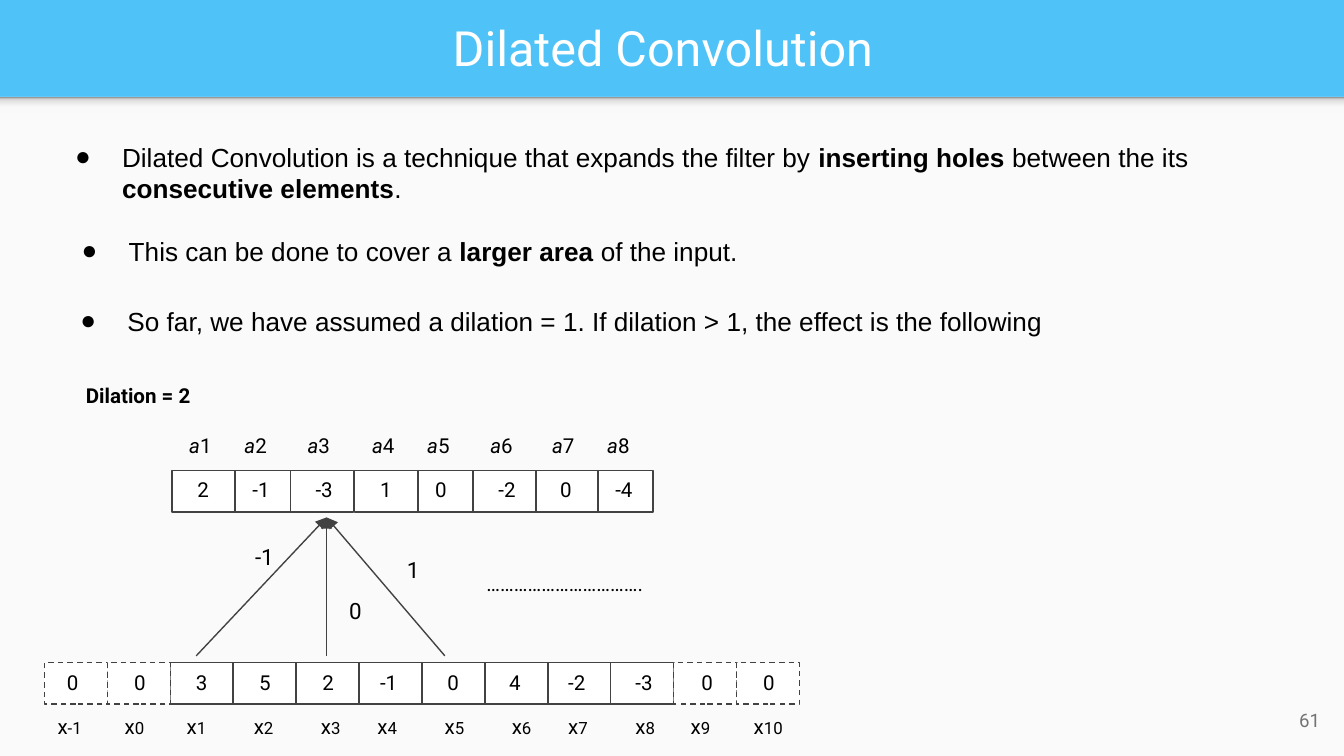
"""Build the slide that explains dilated convolution."""
from copy import deepcopy

from lxml import etree
from pptx import Presentation
from pptx.dml.color import RGBColor
from pptx.enum.dml import MSO_LINE
from pptx.enum.shapes import MSO_CONNECTOR, MSO_SHAPE
from pptx.enum.text import MSO_ANCHOR, PP_ALIGN
from pptx.oxml.ns import qn
from pptx.util import Inches, Pt

RECTANGLE = MSO_SHAPE.RECTANGLE
STRAIGHT = MSO_CONNECTOR.STRAIGHT
DASH = MSO_LINE.DASH
TOP, MIDDLE = MSO_ANCHOR.TOP, MSO_ANCHOR.MIDDLE
LEFT, CENTER, RIGHT = PP_ALIGN.LEFT, PP_ALIGN.CENTER, PP_ALIGN.RIGHT

BLUE = RGBColor(0x4F, 0xC3, 0xF7)
PAPER = RGBColor(0xFA, 0xFA, 0xFA)
WHITE = RGBColor(0xFF, 0xFF, 0xFF)
BLACK = RGBColor(0x00, 0x00, 0x00)
INK = RGBColor(0x42, 0x42, 0x42)
GRAY = RGBColor(0x73, 0x73, 0x73)
SHADOW_STOPS = [
    (0, RGBColor(0xF9, 0xF9, 0xF9)),
    (0.36, RGBColor(0xF9, 0xF9, 0xF9)),
    (0.8, RGBColor(0xDE, 0xDE, 0xDE)),
    (1, RGBColor(0x99, 0x99, 0x99)),
]

BOLD = {"bold": True}
BULLETS = [
    ((0.31, 0.95, 9.35, 0.67), [
        ("Dilated Convolution is a technique that expands the filter by ", {}),
        ("inserting holes", BOLD),
        (" between the its ", {}),
        ("consecutive elements", BOLD),
        (".", {}),
    ]),
    ((0.36, 1.65, 8.67, 0.44), [
        ("This can be done to cover a ", {}),
        ("larger area ", BOLD),
        ("of the input.", {}),
    ]),
    ((0.35, 2.17, 9.29, 0.44), [
        ("So far, we have assumed a dilation = 1. If dilation > 1, the effect is the following", {}),
    ]),
]

CELL_WIDTH, CELL_HEIGHT = 0.47, 0.31
INPUT_LEFT, INPUT_RIGHT, INPUT_TOP = 0.33, 5.95, 4.93
OUTPUT_TOP = 3.5
FIRST_INDEX = -1
INPUT_CELLS = [
    ("0", 0.4, 0.33), ("0", 0.9, 0.83), ("3", 1.36, 1.29), ("5", 1.83, 1.79),
    ("2", 2.3, 2.29), ("-1", 2.73, 2.71), ("0", 3.23, 3.21), ("4", 3.69, 3.71),
    ("-2", 4.13, 4.13), ("-3", 4.63, 4.63), ("0", 5.12, 5.04), ("0", 5.58, 5.51),
]
OUTPUT_CELLS = [
    ("2", 1.28), ("-1", 1.69), ("-3", 2.16), ("1", 2.64),
    ("0", 3.05), ("-2", 3.52), ("0", 3.98), ("-4", 4.39),
]
ARROW_STARTS = [1.46, 2.43, 3.31]
ARROW_TARGET = (2.43, 3.85)
WEIGHTS = [("-1", 1.8, 3.94), ("0", 2.5, 4.34), ("1", 2.93, 4.04)]


def add_bullet(paragraph, font):
    """Give the paragraph a round bullet with a hanging indent."""
    properties = paragraph._p.get_or_add_pPr()
    properties.set("marL", str(Inches(0.5)))
    properties.set("indent", str(Inches(-0.35)))
    color = etree.SubElement(properties, qn("a:buClr"))
    etree.SubElement(color, qn("a:srgbClr")).set("val", str(BLACK))
    etree.SubElement(properties, qn("a:buFont")).set("typeface", font)
    etree.SubElement(properties, qn("a:buChar")).set("char", "●")


def add_text(slide, box, text, size=11, font="Roboto", color=BLACK, bold=False,
             align=LEFT, anchor=TOP, bullet=False):
    """Add a text box from a string or a list of (text, overrides) runs."""
    shape = slide.shapes.add_textbox(*map(Inches, box))
    frame = shape.text_frame
    frame.word_wrap = True
    frame.vertical_anchor = anchor
    frame.margin_left = frame.margin_right = Inches(0.1)
    frame.margin_top = frame.margin_bottom = Inches(0.1)
    paragraph = frame.paragraphs[0]
    paragraph.alignment = align
    if bullet:
        add_bullet(paragraph, font)
    runs = [(text, {})] if isinstance(text, str) else text
    for content, overrides in runs:
        run = paragraph.add_run()
        run.text = content
        run.font.name = font
        run.font.size = Pt(overrides.get("size", size))
        run.font.bold = overrides.get("bold", bold)
        run.font.italic = overrides.get("italic", False)
        run.font.color.rgb = color


def add_rectangle(slide, box, fill=None):
    """Add a rectangle without outline or shadow."""
    shape = slide.shapes.add_shape(RECTANGLE, *map(Inches, box))
    shape.shadow.inherit = False
    shape.line.fill.background()
    if fill is not None:
        shape.fill.solid()
        shape.fill.fore_color.rgb = fill
    return shape


def add_header_shadow(slide):
    """Add the gradient strip below the header."""
    shape = add_rectangle(slide, (0, 0.72, 10, 0.12))
    shape.fill.gradient()
    shape.fill.gradient_angle = 90
    stop_list = shape._element.spPr.find(".//" + qn("a:gsLst"))
    for stop in list(stop_list):
        stop_list.append(deepcopy(stop))
    for stop, (position, color) in zip(shape.fill.gradient_stops, SHADOW_STOPS):
        stop.position = position
        stop.color.rgb = color


def add_cell(slide, left, top, dashed=False):
    """Add one outlined cell of a sequence."""
    shape = add_rectangle(slide, (left, top, CELL_WIDTH, CELL_HEIGHT), WHITE)
    shape.line.color.rgb = INK
    shape.line.width = Pt(0.75)
    if dashed:
        shape.line.dash_style = DASH


def add_arrow(slide, start, end):
    """Add a thin line with a triangular head at its end."""
    connector = slide.shapes.add_connector(STRAIGHT, *map(Inches, start + end))
    connector.line.color.rgb = INK
    connector.line.width = Pt(0.75)
    etree.SubElement(connector.line._get_or_add_ln(), qn("a:tailEnd")).set("type", "triangle")
    etree.SubElement(connector._element.spPr, qn("a:effectLst"))


def add_input_row(slide):
    """Add the input sequence, with its dashed padding cells on top."""
    pitch = (INPUT_RIGHT - INPUT_LEFT) / len(INPUT_CELLS)
    padding = {0, 1, 10, 11}
    for index in sorted(range(len(INPUT_CELLS)), key=lambda index: index in padding):
        value, value_left, label_left = INPUT_CELLS[index]
        add_cell(slide, INPUT_LEFT + index * pitch, INPUT_TOP, dashed=index in padding)
        add_text(slide, (value_left, INPUT_TOP - 0.04, 0.36, 0.39), value)
        label = [("x", {}), (str(index + FIRST_INDEX), {"size": 9})]
        add_text(slide, (label_left, 5.22, 0.54, 0.39), label)


def add_output_row(slide):
    """Add the output sequence, each cell overlapping the one to its right."""
    for number, (value, left) in reversed(list(enumerate(OUTPUT_CELLS, 1))):
        add_cell(slide, left, OUTPUT_TOP)
        add_text(slide, (left + 0.09, OUTPUT_TOP - 0.04, 0.36, 0.39), value)
        label = [("a", {"italic": True}), (str(number), {})]
        add_text(slide, (left + 0.03, 3.13, 0.54, 0.39), label)


def add_filter(slide):
    """Add the arrows and weights of the dilated filter."""
    for left in ARROW_STARTS:
        add_arrow(slide, (left, 4.88), ARROW_TARGET)
    for weight, left, top in WEIGHTS:
        add_text(slide, (left, top, 0.36, 0.4), weight, size=12)


def main():
    """Build and save the presentation."""
    presentation = Presentation()
    presentation.slide_width = Inches(10)
    presentation.slide_height = Inches(10) * 9 // 16
    slide = presentation.slides.add_slide(presentation.slide_layouts[6])
    slide.background.fill.solid()
    slide.background.fill.fore_color.rgb = BLUE
    add_rectangle(slide, (0, 0.72, 10, 4.91), PAPER)
    add_header_shadow(slide)
    add_text(slide, (0.11, 0.02, 9.65, 0.66), "Dilated Convolution", size=26,
             color=WHITE, align=CENTER, anchor=MIDDLE)
    for box, runs in BULLETS:
        add_text(slide, box, runs, size=14, font="Arial", bullet=True)
    add_text(slide, (0.54, 2.76, 1.5, 0.39), "Dilation = 2", bold=True)
    add_input_row(slide)
    add_output_row(slide)
    add_filter(slide)
    add_text(slide, (3.52, 4.16, 1.39, 0.39), "…………………………….")
    add_text(slide, (9.32, 5.14, 0.6, 0.43), "61", size=10, color=GRAY,
             align=RIGHT, anchor=MIDDLE)
    presentation.save("out.pptx")


if __name__ == "__main__":
    main()
